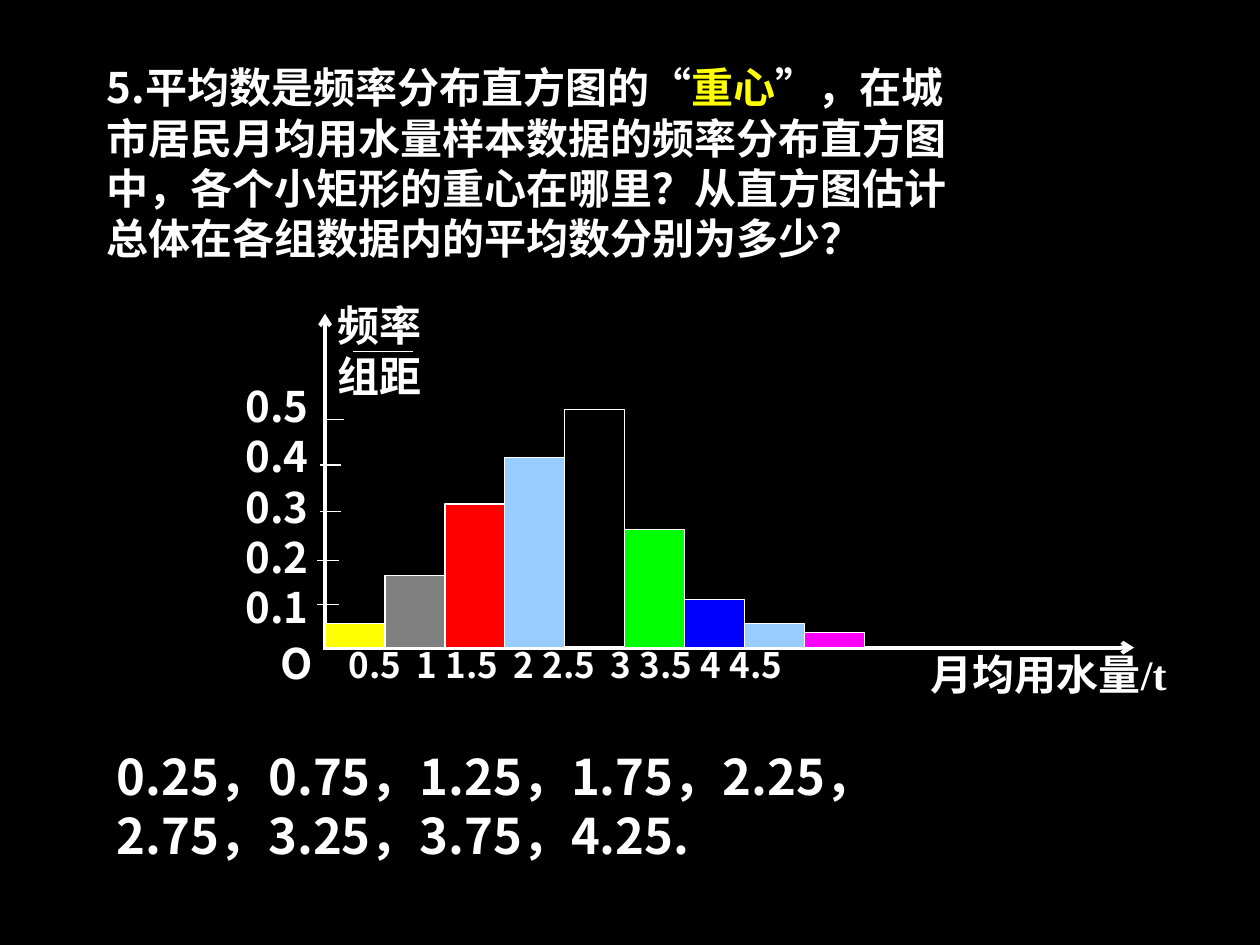
from lxml.etree import SubElement
from pptx import Presentation
from pptx.dml.color import RGBColor
from pptx.enum.shapes import MSO_CONNECTOR, MSO_SHAPE
from pptx.enum.text import PP_ALIGN
from pptx.oxml.ns import qn
from pptx.util import Inches, Pt

SANS, SERIF = "Noto Sans CJK SC", "Times New Roman"
WHITE, YELLOW = "FFFFFF", "FFFF00"

QUESTION = [
    ("5.平均数是频率分布直方图的“", WHITE),
    ("重心", YELLOW),
    ("”，在城市居民月均用水量样本数据的频率分布直方图中，"
     "各个小矩形的重心在哪里？从直方图估计总体在各组数据内的平均数分别为多少？", WHITE),
]
ANSWERS = ["0.25，0.75，1.25，1.75，2.25，", "2.75，3.25，3.75，4.25."]
BARS = [  # height, fill
    (0.19, YELLOW), (0.57, "808080"), (1.14, "FF0000"),
    (1.51, "99CCFF"), (1.89, None), (0.94, "00FF00"),
    (0.38, "0000FF"), (0.19, "99CCFF"), (0.12, "FF00FF"),
]
TICKS = [(0.43, 1.0), (0.41, 1.36), (0.41, 1.73), (0.39, 2.12), (0.39, 2.47)]
X_LABELS = ["0.5", "1", "1.5", "2", "2.5", "3", "3.5", "4", "4.5"]
X_TABS = [0.54, 0.77, 1.31, 1.54, 2.08, 2.31, 2.79, 3.02]


def rgb(value):
    return RGBColor.from_string(value)


def add_text(slide, box, paragraphs, size=24, font=SANS, align=None, tabs=()):
    """Each paragraph is a string or a list of (text, colour) runs."""
    tf = slide.shapes.add_textbox(*map(Inches, box)).text_frame
    tf.word_wrap = True
    for i, runs in enumerate(paragraphs):
        p = tf.paragraphs[0] if i == 0 else tf.add_paragraph()
        p.alignment = align
        p.line_spacing = Pt(size * 1.2)
        if tabs:
            tab_list = SubElement(p._p.get_or_add_pPr(), qn("a:tabLst"))
            for pos in tabs:
                SubElement(tab_list, qn("a:tab"), pos=str(Inches(pos)), algn="l")
        for text, color in [(runs, WHITE)] if isinstance(runs, str) else runs:
            r = p.add_run()
            r.text = text
            for name, value in {"size": Pt(size), "bold": True, "name": font}.items():
                setattr(r.font, name, value)
            r.font.color.rgb = rgb(color)
            SubElement(r._r.get_or_add_rPr(), qn("a:ea"), typeface=SANS)


def add_line(slide, x1, y1, x2, y2, width=0.75, arrow=False):
    line = slide.shapes.add_connector(
        MSO_CONNECTOR.STRAIGHT, *map(Inches, (x1, y1, x2, y2)))
    line.line.color.rgb = rgb(WHITE)
    line.line.width = Pt(width)
    if arrow:
        SubElement(line.line._get_or_add_ln(), qn("a:tailEnd"), type="arrow")
    SubElement(line._element.spPr, qn("a:effectLst"))


def add_bars(slide, left, base, width):
    step = width / len(BARS)
    for i, (height, color) in enumerate(BARS):
        box = (left + i * step, base - height, step, height)
        sp = slide.shapes.add_shape(MSO_SHAPE.RECTANGLE, *map(Inches, box))
        sp.shadow.inherit = False
        if color:
            sp.fill.solid()
            sp.fill.fore_color.rgb = rgb(color)
        else:
            sp.fill.background()
        sp.line.color.rgb = rgb(WHITE)
        sp.line.width = Pt(0.75)


def add_axes(slide, left, top):
    add_line(slide, left + 0.43, top + 2.81, left + 6.87, top + 2.81, 2.25, True)
    add_line(slide, left + 0.45, top + 2.8, left + 0.45, top + 0.16, 2.25, True)
    for x, y in TICKS:
        add_line(slide, left + x, top + y, left + x + 0.17, top + y)


def add_histogram(slide, left, top):
    labels = [
        ((5.16, 2.77, 2.14, 0.57), ["月均用水量/t"], {"font": SERIF}),
        ((0.45, 0, 0.95, 0.94), ["频率", "组距"], {"font": SERIF}),
        ((-0.28, 0.64, 0.95, 2.07), [f"0.{n}" for n in range(5, 0, -1)], {}),
        ((0.54, 2.73, 4.68, 0.57), ["\t".join(X_LABELS)],
         {"size": 20, "tabs": X_TABS}),
        ((0, 2.68, 0.47, 0.57), ["O"], {}),
    ]
    for (x, y, w, h), lines, style in labels:
        add_text(slide, (left + x, top + y, w, h), lines,
                 align=PP_ALIGN.JUSTIFY, **style)
    add_axes(slide, left, top)
    # fraction bar between the two words of the vertical axis title
    add_line(slide, left + 0.67, top + 0.46, left + 1.15, top + 0.46)
    add_bars(slide, left + 0.45, top + 2.81, 4.28)


def main():
    prs = Presentation()
    prs.slide_width, prs.slide_height = Inches(10), Inches(7.5)
    slide = prs.slides.add_slide(prs.slide_layouts[6])
    slide.background.fill.solid()
    slide.background.fill.fore_color.rgb = rgb("000000")
    add_text(slide, (0.75, 0.44, 7.09, 1.7), [QUESTION])
    add_text(slide, (0.83, 5.88, 6.77, 1.5), ANSWERS, size=28)
    add_histogram(slide, 2.13, 2.33)
    prs.save("out.pptx")


if __name__ == "__main__":
    main()
